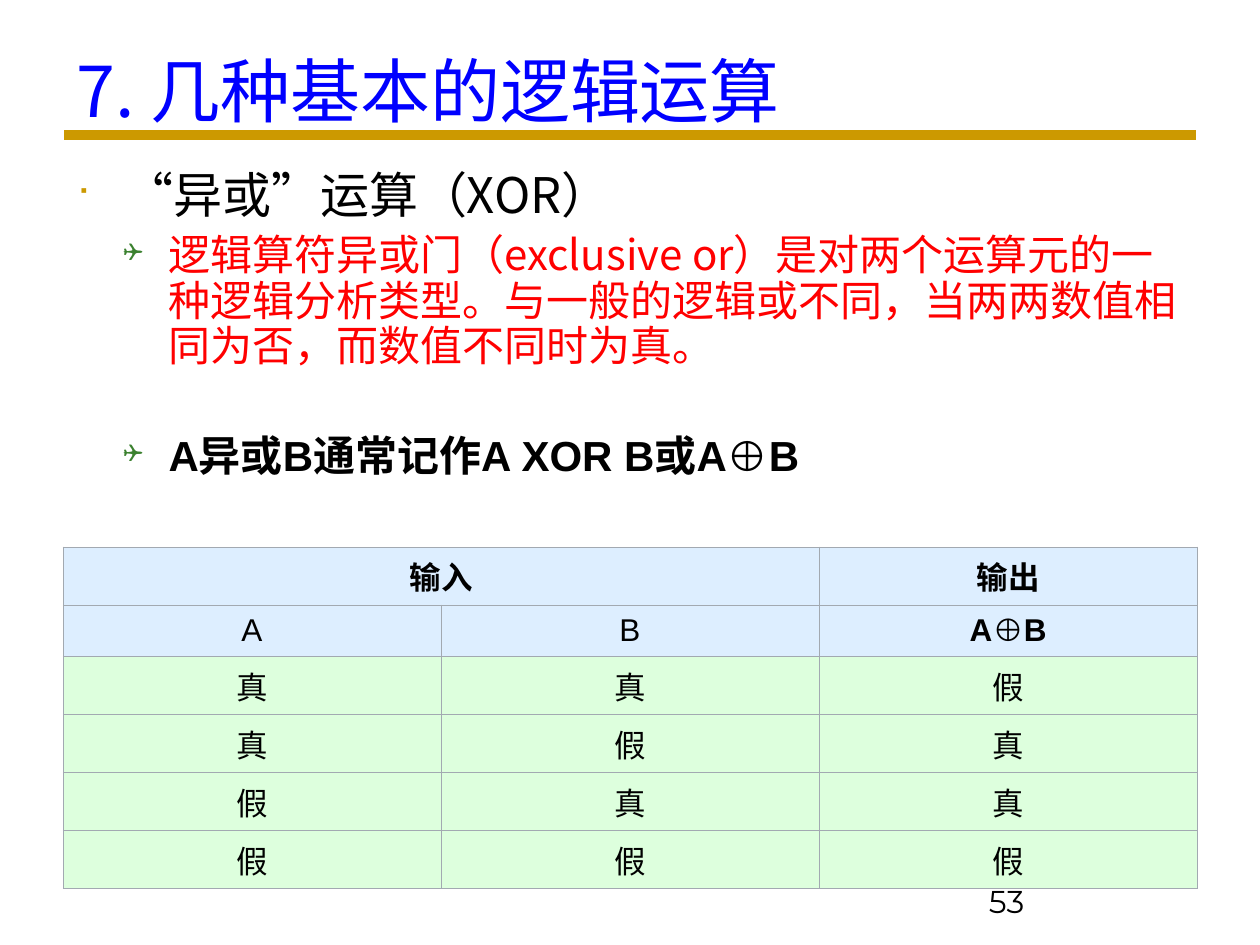
from lxml import etree
from pptx import Presentation
from pptx.dml.color import RGBColor
from pptx.enum import shapes, text
from pptx.oxml import ns
from pptx.util import Inches, Pt

BLUE = RGBColor(0x00, 0x00, 0xFF)
RED = RGBColor(0xFF, 0x00, 0x00)
BLACK = RGBColor(0x00, 0x00, 0x00)
GOLD = RGBColor(0xCC, 0x99, 0x00)
GREEN = RGBColor(0x3B, 0x81, 0x2F)
GREY = RGBColor(0xA2, 0xA9, 0xB1)
HEAD_FILL = RGBColor(0xDD, 0xEE, 0xFF)
BODY_FILL = RGBColor(0xDD, 0xFF, 0xDD)
NOTO, ARIAL, MONTSERRAT = "Noto Sans CJK SC", "Arial", "Montserrat"

# Content
TITLE = "7. 几种基本的逻辑运算"
PAGE_NUMBER = "53"
# text, level, size, font, colour, bold, space before
POINTS = [
    ("“异或”运算（XOR）", 0, 28, NOTO, BLACK, False, 0),
    ("逻辑算符异或门（exclusive or）是对两个运算元的一种逻辑分析类型。"
     "与一般的逻辑或不同，当两两数值相同为否，而数值不同时为真。",
     1, 24, NOTO, RED, False, 6),
    ("A异或B通常记作A XOR B或A⊕B", 1, 24, ARIAL, BLACK, True, 37),
]
# indent, bullet, bullet colour, bullet size in thousandths of a percent
LEVELS = [(0.38, 0.38, "■", GOLD, 65000), (0.73, 0.36, "❑", GREEN, 60000)]
# each cell is a list of (text, bold) runs
HEADINGS = [
    [[("输入", True)], [], [("输出", True)]],
    [[("A", False)], [("B", False)], [("A", True), ("⊕", False), ("B", True)]],
]
TRUTH = ["真真假", "真假真", "假真真", "假假假"]
ROWS = HEADINGS + [[[(value, False)] for value in row] for row in TRUTH]
LETTER_ROW = 1  # the row of Latin letters is lower than the others


def add_span(para, words, size, font, colour, bold=False):
    span = para.add_run()
    span.text = words
    span.font.size = Pt(size)
    span.font.name = font
    span.font.bold = bold
    span.font.color.rgb = colour
    east_asian = etree.SubElement(span.font._element, ns.qn("a:ea"))
    east_asian.set("typeface", NOTO)


def add_box(page, left, top, width, height):
    box = page.shapes.add_textbox(*map(Inches, (left, top, width, height)))
    box.text_frame.word_wrap = True
    return box.text_frame


def add_bullet(para, level):
    indent, hanging, char, colour, size = LEVELS[level]
    para.level = level
    props = para._p.get_or_add_pPr()
    props.set("marL", str(Inches(indent)))
    props.set("indent", str(-Inches(hanging)))
    tint = etree.SubElement(props, ns.qn("a:buClr"))
    etree.SubElement(tint, ns.qn("a:srgbClr")).set("val", str(colour))
    etree.SubElement(props, ns.qn("a:buSzPct")).set("val", str(size))
    etree.SubElement(props, ns.qn("a:buFont")).set("typeface", "Wingdings")
    etree.SubElement(props, ns.qn("a:buChar")).set("char", char)


def add_borders(cell):
    props = cell._tc.get_or_add_tcPr()
    for index, side in enumerate(("lnL", "lnR", "lnT", "lnB")):
        border = etree.Element(ns.qn(f"a:{side}"), w=str(Pt(0.34)))
        fill = etree.SubElement(border, ns.qn("a:solidFill"))
        etree.SubElement(fill, ns.qn("a:srgbClr")).set("val", str(GREY))
        props.insert(index, border)


deck = Presentation()
deck.slide_width, deck.slide_height = Inches(10), Inches(7.5)
page = deck.slides.add_slide(deck.slide_layouts[6])

# Rule under the title
rule = page.shapes.add_connector(
    shapes.MSO_CONNECTOR.STRAIGHT,
    Inches(0.51), Inches(1.07), Inches(9.49), Inches(1.07))
rule.line.color.rgb = GOLD
rule.line.width = Pt(6)
etree.SubElement(rule._element.spPr, ns.qn("a:effectLst"))

# Title
title = add_box(page, 0.51, 0.33, 9, 0.88)
add_span(title.paragraphs[0], TITLE, 40, NOTO, BLUE)

# Bullet points
body = add_box(page, 0.51, 1.31, 9, 5.51)
for index, (words, level, size, font, colour, bold, before) in enumerate(POINTS):
    para = body.add_paragraph() if index else body.paragraphs[0]
    add_bullet(para, level)
    para.line_spacing = 0.9
    if before:
        para.space_before = Pt(before)
    add_span(para, words, size, font, colour, bold)

# Page number
number = add_box(page, 7.75, 6.95, 2.25, 0.4)
add_span(number.paragraphs[0], PAGE_NUMBER, 18, MONTSERRAT, BLACK)

# Truth table
table = page.shapes.add_table(
    len(ROWS), 3, Inches(0.5), Inches(4.34), Inches(9), Inches(2.71)).table
for row, cells in enumerate(ROWS):
    is_letters = row == LETTER_ROW
    table.rows[row].height = Inches(0.41 if is_letters else 0.46)
    for column, spans in enumerate(cells):
        cell = table.cell(row, column)
        cell.vertical_anchor = text.MSO_ANCHOR.MIDDLE
        cell.margin_bottom = Inches(0.05 if is_letters else 0.11)
        cell.fill.solid()
        cell.fill.fore_color.rgb = HEAD_FILL if row < len(HEADINGS) else BODY_FILL
        add_borders(cell)
        para = cell.text_frame.paragraphs[0]
        para.alignment = text.PP_ALIGN.CENTER
        for words, bold in spans:
            add_span(para, words, 18, ARIAL, BLACK, bold)
table.cell(0, 0).merge(table.cell(0, 1))

deck.save("out.pptx")
